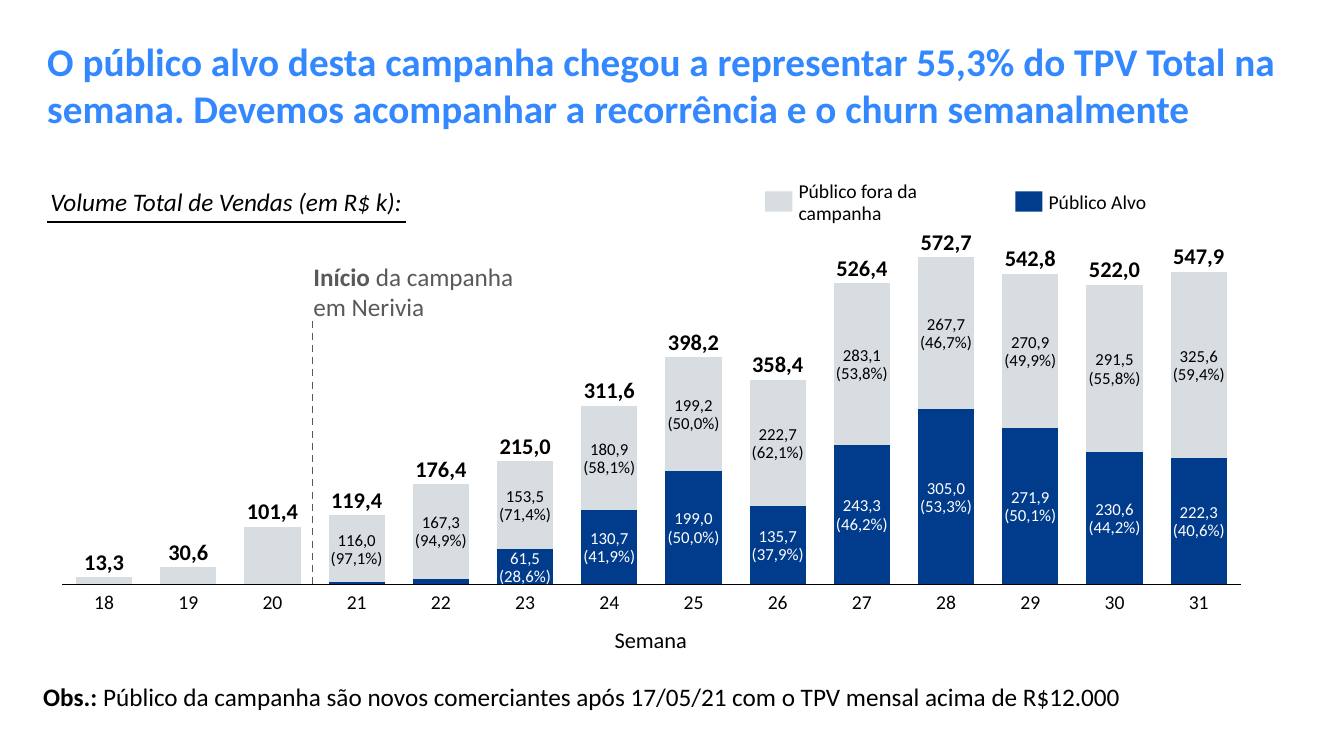
from pptx import Presentation
from pptx.chart.data import CategoryChartData
from pptx.dml.color import RGBColor
from pptx.enum.chart import XL_CHART_TYPE, XL_TICK_LABEL_POSITION as TICK_LABELS, XL_TICK_MARK
from pptx.enum.dml import MSO_LINE
from pptx.enum.shapes import MSO_CONNECTOR, MSO_SHAPE
from pptx.enum.text import MSO_ANCHOR as ANCHOR, PP_ALIGN as ALIGN
from pptx.oxml import parse_xml
from pptx.oxml.ns import nsdecls
from pptx.util import Inches, Pt

FONT = "Calibri"
BLACK = RGBColor(0x00, 0x00, 0x00)
WHITE = RGBColor(0xFF, 0xFF, 0xFF)
GRAY = RGBColor(0x59, 0x59, 0x59)
TITLE_BLUE = RGBColor(0x33, 0x88, 0xFF)
TARGET = RGBColor(0x00, 0x3C, 0x8B)
OUTSIDE = RGBColor(0xD8, 0xDD, 0xE1)

# week, total, target height, target label, outside height, outside label
WEEKS = [
    (18, "13,3", 4, None, None, None),
    (19, "30,6", 9, None, None, None),
    (20, "101,4", 31, None, None, None),
    (21, "119,4", 1, None, 36, "116,0\n(97,1%)"),
    (22, "176,4", 3, None, 51, "167,3\n(94,9%)"),
    (23, "215,0", 19, "61,5\n(28,6%)", 47, "153,5\n(71,4%)"),
    (24, "311,6", 40, "130,7\n(41,9%)", 56, "180,9\n(58,1%)"),
    (25, "398,2", 61, "199,0\n(50,0%)", 61, "199,2\n(50,0%)"),
    (26, "358,4", 42, "135,7\n(37,9%)", 68, "222,7\n(62,1%)"),
    (27, "526,4", 75, "243,3\n(46,2%)", 87, "283,1\n(53,8%)"),
    (28, "572,7", 94, "305,0\n(53,3%)", 82, "267,7\n(46,7%)"),
    (29, "542,8", 84, "271,9\n(50,1%)", 83, "270,9\n(49,9%)"),
    (30, "522,0", 71, "230,6\n(44,2%)", 90, "291,5\n(55,8%)"),
    (31, "547,9", 68, "222,3\n(40,6%)", 100, "325,6\n(59,4%)"),
]
AXIS_MAX = 176
PLOT = {"x": 0.008, "y": 0.026, "w": 0.985, "h": 0.947}


def add_text(slide, box, runs, size, color=BLACK, align=ALIGN.LEFT,
             anchor=ANCHOR.TOP, inset=None, spacing=None, wrap=False):
    """Place runs of (text, font attributes) in a box; newlines become line breaks."""
    tf = slide.shapes.add_textbox(*map(Inches, box)).text_frame
    tf.word_wrap = wrap
    tf.vertical_anchor = anchor
    if inset is not None:
        tf.margin_left = tf.margin_right = Inches(inset)
        tf.margin_top = tf.margin_bottom = 0
    p = tf.paragraphs[0]
    p.alignment = align
    if spacing:
        p.line_spacing = spacing
    for text, style in runs:
        for i, line in enumerate(text.split("\n")):
            if i:
                p.add_line_break()
            r = p.add_run()
            r.text = line
            for name, value in {"name": FONT, "size": Pt(size), **style}.items():
                setattr(r.font, name, value)
            r.font.color.rgb = color


def add_label(slide, box, text, size, color=BLACK, align=ALIGN.CENTER,
              anchor=ANCHOR.MIDDLE, inset=0, **style):
    add_text(slide, box, [(text, style)], size, color, align, anchor, inset, 0.9)


def add_line(slide, start, end, color, width, dash=None):
    points = map(Inches, (*start, *end))
    s = slide.shapes.add_connector(MSO_CONNECTOR.STRAIGHT, *points)
    s.line.color.rgb = color
    s.line.width = Pt(width)
    if dash:
        s.line.dash_style = dash
    s._element.spPr.append(parse_xml(f"<a:effectLst {nsdecls('a')}/>"))


def fill(target, color):
    target.fill.solid()
    target.fill.fore_color.rgb = color


def add_heading(slide, left, top, width):
    add_text(slide, (left, top, width, 1.04),
             [("O público alvo desta campanha chegou a representar 55,3% do TPV Total na "
               "semana. Devemos acompanhar a recorrência e o churn semanalmente",
               {"bold": True})], 28, TITLE_BLUE, wrap=True)


def add_subtitle(slide, left, top):
    add_text(slide, (left, top, 4.69, 0.4),
             [("Volume Total de Vendas (em R$ k):", {"italic": True})], 18, wrap=True)
    add_line(slide, (left + 0.07, top + 0.4), (left + 3.63, top + 0.4), BLACK, 1.5)


def add_legend(slide, left, top):
    entries = [(0, 2.04, "Público fora da campanha", OUTSIDE),
               (2.48, 0.97, "Público Alvo", TARGET)]
    for dx, width, text, color in entries:
        s = slide.shapes.add_shape(
            MSO_SHAPE.RECTANGLE, *map(Inches, (left + dx, top, 0.27, 0.2)))
        s.shadow.inherit = False
        fill(s, color)
        s.line.fill.background()
        add_label(slide, (left + dx + 0.33, top + 0.01, width, 0.21), text, 14,
                  align=ALIGN.LEFT)


def add_sales_chart(slide, box):
    data = CategoryChartData()
    data.categories = [str(i + 1) for i in range(len(WEEKS))]
    data.add_series("Series 1", [w[2] for w in WEEKS])
    data.add_series("Series 2", [w[4] for w in WEEKS])
    chart = slide.shapes.add_chart(
        XL_CHART_TYPE.COLUMN_STACKED, *map(Inches, box), data).chart
    chart.has_legend = chart.has_title = False
    chart.font.name, chart.font.size = FONT, Pt(10)
    chart.font.color.rgb = BLACK

    plot = chart.plots[0]
    plot.gap_width, plot.overlap = 50, 100
    plot.vary_by_categories = False
    for series, color in zip(plot.series, (TARGET, OUTSIDE)):
        fill(series.format, color)
        series.invert_if_negative = False
    for i, week in enumerate(WEEKS):
        if week[4] is None:
            fill(plot.series[0].points[i].format, OUTSIDE)

    axis = chart.category_axis
    axis.tick_label_position = TICK_LABELS.NONE
    axis.major_tick_mark = axis.minor_tick_mark = XL_TICK_MARK.NONE
    axis.format.line.color.rgb = BLACK
    axis.format.line.width = Pt(0.75)
    axis = chart.value_axis
    axis.visible = axis.has_major_gridlines = False
    axis.minimum_scale, axis.maximum_scale = 0, AXIS_MAX

    area = chart._chartSpace.chart.plotArea
    for old in area.xpath("c:layout"):
        area.remove(old)
    modes = '<c:layoutTarget val="inner"/><c:xMode val="edge"/><c:yMode val="edge"/>'
    sizes = "".join(f'<c:{k} val="{v}"/>' for k, v in PLOT.items())
    area.insert(0, parse_xml(
        f"<c:layout {nsdecls('c')}><c:manualLayout>{modes}{sizes}"
        "</c:manualLayout></c:layout>"))


def add_chart_labels(slide, box):
    """Label totals, segments and weeks from the plot scale of the chart in box."""
    left, top, width, height = box
    plot_left = left + PLOT["x"] * width
    step = PLOT["w"] * width / len(WEEKS)
    base = top + (PLOT["y"] + PLOT["h"]) * height
    unit = PLOT["h"] * height / AXIS_MAX

    for i, (week, total, low, low_text, high, high_text) in enumerate(WEEKS):
        center = plot_left + (i + 0.5) * step
        x = center - 0.285
        bar_top = base - (low + (high or 0)) * unit
        add_label(slide, (x, bar_top - 0.26, 0.57, 0.24), total, 16,
                  anchor=ANCHOR.BOTTOM, inset=0.03, bold=True)
        segments = [(low / 2, low_text, WHITE), (low + (high or 0) / 2, high_text, BLACK)]
        for middle, text, color in segments:
            if text:
                add_label(slide, (x, base - middle * unit - 0.17, 0.57, 0.36),
                          text, 12, color, inset=0.02)
        add_label(slide, (center - 0.105, base + 0.08, 0.21, 0.21), str(week), 14,
                  anchor=ANCHOR.TOP)
    add_label(slide, (left + width / 2 - 0.36, base + 0.44, 0.72, 0.24), "Semana", 16,
              anchor=ANCHOR.TOP)


def add_campaign_start(slide, left, top):
    add_line(slide, (left + 0.09, top + 0.64), (left + 0.09, top + 3.25),
             GRAY, 1.25, MSO_LINE.DASH)
    add_text(slide, (left, top, 2.21, 0.71),
             [("Início", {"bold": True}), (" da campanha\nem Nerivia", {})], 18, GRAY)


def add_note(slide, left, top):
    add_text(slide, (left, top, 11.01, 0.4),
             [("Obs.: ", {"bold": True}),
              ("Público da campanha são novos comerciantes após 17/05/21 "
               "com o TPV mensal acima de R$12.000", {})], 18)


def main():
    prs = Presentation()
    prs.slide_width, prs.slide_height = Inches(13.33), Inches(7.5)
    slide = prs.slides.add_slide(prs.slide_layouts[6])
    chart_box = (0.52, 2.46, 11.87, 3.43)
    add_heading(slide, 0.37, 0.32, 12.6)
    add_subtitle(slide, 0.4, 1.8)
    add_sales_chart(slide, chart_box)
    add_chart_labels(slide, chart_box)
    add_legend(slide, 7.59, 1.9)
    add_note(slide, 0.33, 6.71)
    add_campaign_start(slide, 3.01, 2.54)
    prs.save("out.pptx")


if __name__ == "__main__":
    main()
